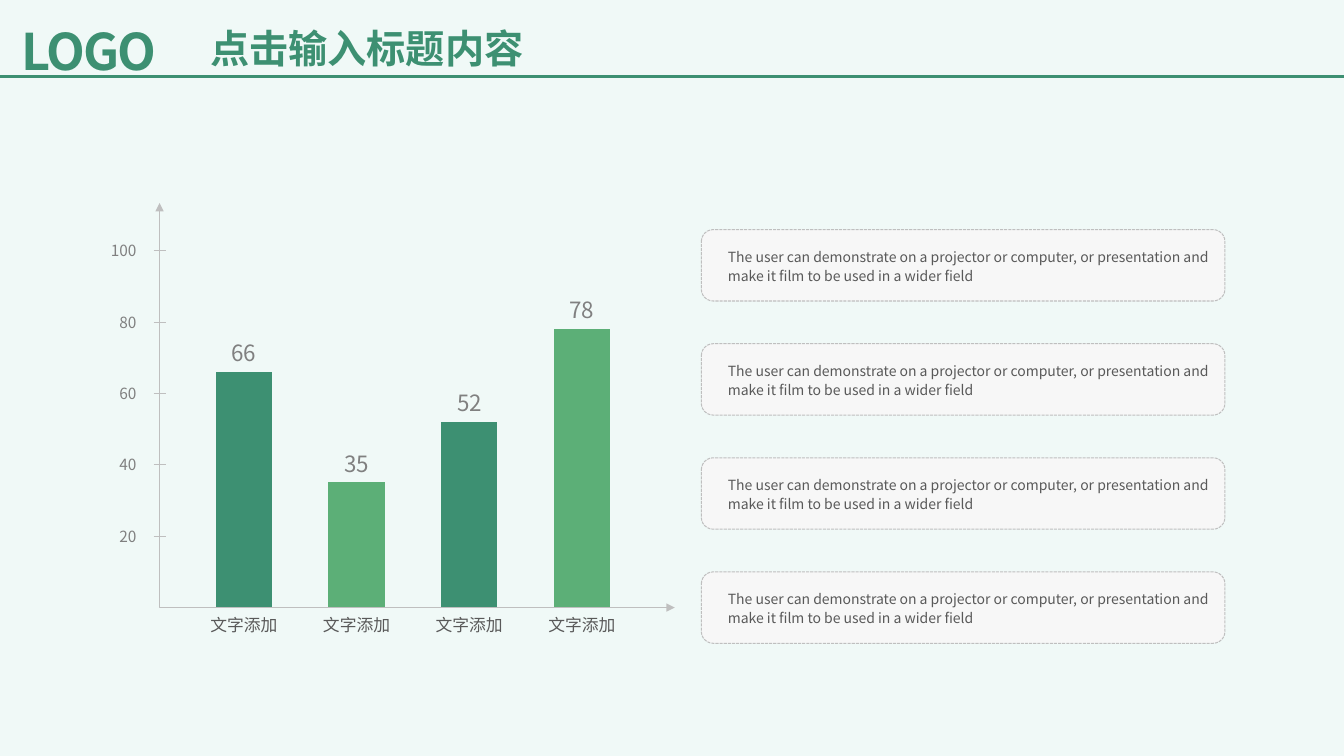
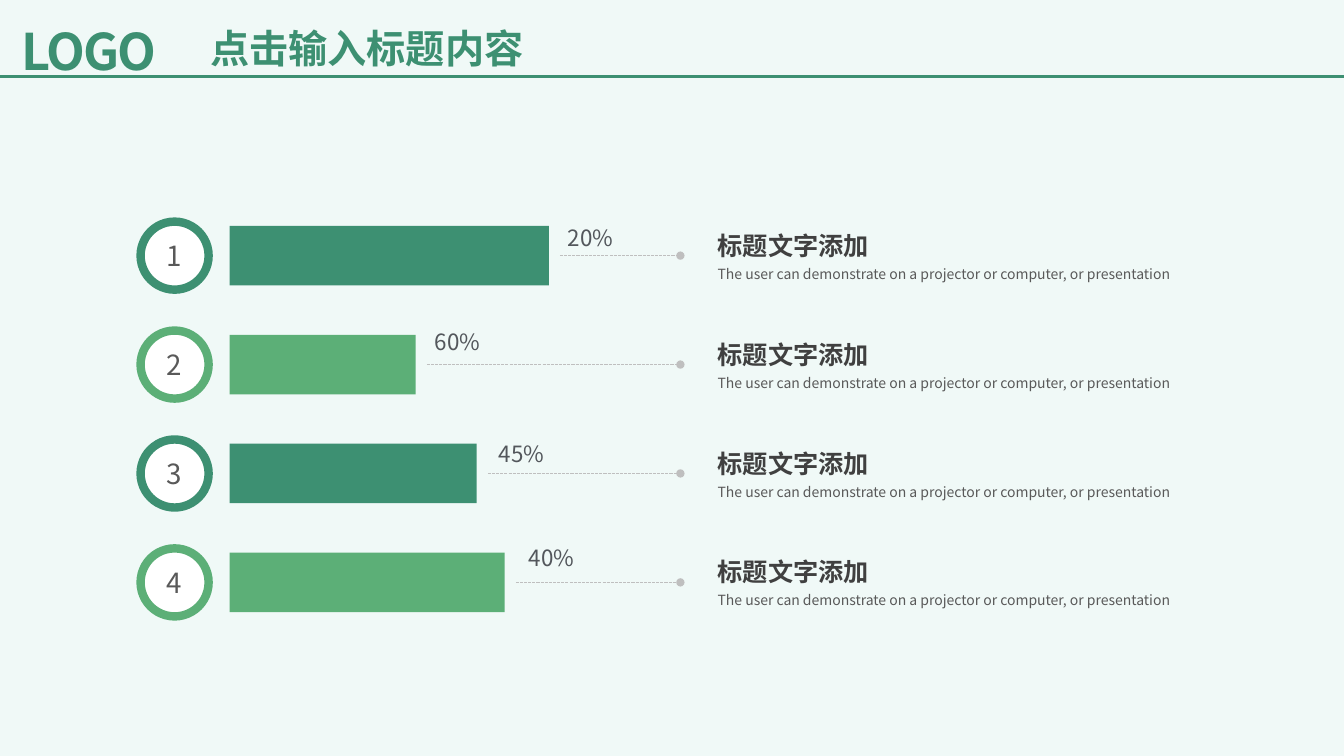
from lxml import etree
from pptx import Presentation
from pptx import util as u
from pptx.chart import data as chart_data
from pptx.dml import color as dml
from pptx.enum import chart as ch, dml as line_styles, shapes as sh, text as tx
from pptx.oxml import ns, parse_xml

Pt = u.Pt

# Shared look
WIDTH, HEIGHT = 960, 540
FONT = "Noto Sans CJK SC"
BACKGROUND, CARD, WHITE = "F0F9F7", "F7F7F7", "FFFFFF"
GREEN, LEAF = "3D9072", "5CAF77"
HEADING, BODY, PERCENT, MUTED, RULE = "404040", "595959", "53575C", "808080", "BFBFBF"
LEFT, CENTER, RIGHT = tx.PP_ALIGN.LEFT, tx.PP_ALIGN.CENTER, tx.PP_ALIGN.RIGHT
TITLE = "点击输入标题内容"

# Slide 1 content
COLUMNS = [("文字添加", 66), ("文字添加", 35), ("文字添加", 52), ("文字添加", 78)]
SCALE = [20, 40, 60, 80, 100]
SENTENCE = "The user can demonstrate on a projector or computer, or presentation"
CARDS = [SENTENCE + " and make it film to be used in a wider field"] * 4

# Slide 2 content: bar length, percentage, its offset from the bar's end, heading, detail
ROWS = [
    (228, "20%", (13.6, -13), "标题文字添加", SENTENCE),
    (133, "60%", (13.6, -16.6), "标题文字添加", SENTENCE),
    (176.5, "45%", (15.7, -14.3), "标题文字添加", SENTENCE),
    (196.5, "40%", (17.2, -17.7), "标题文字添加", SENTENCE),
]


def rgb(value):
    return dml.RGBColor.from_string(value)


def accent(index):
    return (GREEN, LEAF)[index % 2]


def set_all(target, values):
    for name, value in values.items():
        setattr(target, name, value)


def style_font(font, size, color, bold=False):
    set_all(font, {"size": Pt(size), "bold": bold, "name": FONT})
    font.color.rgb = rgb(color)
    etree.SubElement(font._element, ns.qn("a:ea")).set("typeface", FONT)


def style_line(line, color, width, dashed=False):
    line.color.rgb = rgb(color)
    line.width = Pt(width)
    if dashed:
        line.dash_style = line_styles.MSO_LINE.SQUARE_DOT


def add_ends(shape, **ends):
    """Put arrowheads on a line, as headEnd or tailEnd."""
    outline = shape.line._get_or_add_ln()
    for end in ("headEnd", "tailEnd"):
        if end in ends:
            etree.SubElement(outline, ns.qn("a:" + end)).set("type", ends[end])


def write(shape, text, size, color, bold=False, align=LEFT, spacing=None,
          margins=(0, 0)):
    frame = shape.text_frame
    set_all(frame, {
        "word_wrap": True, "vertical_anchor": tx.MSO_ANCHOR.MIDDLE,
        "margin_left": Pt(margins[0]), "margin_right": Pt(margins[1]),
        "margin_top": 0, "margin_bottom": 0,
    })
    paragraph = frame.paragraphs[0]
    paragraph.alignment = align
    if spacing:
        paragraph.line_spacing = spacing
    run = paragraph.add_run()
    run.text = text
    style_font(run.font, size, color, bold)
    return run


def add_text(slide, x, middle, w, h, text, size, color, **options):
    box = slide.shapes.add_textbox(Pt(x), Pt(middle - h / 2), Pt(w), Pt(h))
    return write(box, text, size, color, **options)


def add_block(slide, kind, x, y, w, h, fill):
    block = slide.shapes.add_shape(kind, Pt(x), Pt(y), Pt(w), Pt(h))
    block.shadow.inherit = False
    block.fill.solid()
    block.fill.fore_color.rgb = rgb(fill)
    block.line.fill.background()
    return block


def add_line(slide, x1, y1, x2, y2, color, width, dashed=False):
    line = slide.shapes.add_connector(
        sh.MSO_CONNECTOR.STRAIGHT, Pt(x1), Pt(y1), Pt(x2), Pt(y2))
    style_line(line.line, color, width, dashed)
    etree.SubElement(line._element.spPr, ns.qn("a:effectLst"))
    return line


def add_page(prs):
    slide = prs.slides.add_slide(prs.slide_layouts[6])
    logo = add_text(slide, 15.2, 36, 124, 53, "LOGO", 36, GREEN, bold=True)
    logo.font._element.set("spc", "-150")
    add_line(slide, 0, 54.5, WIDTH, 54.5, GREEN, 2)
    add_text(slide, 132, 34.2, 260, 41, TITLE, 28, GREEN, bold=True, align=CENTER)
    return slide


def add_columns(slide):
    plot_x, plot_y, plot_w, plot_h = 134, 179, 322, 255
    top, height = 145, 324
    base = plot_y + plot_h

    values = chart_data.CategoryChartData()
    values.categories = [name for name, _ in COLUMNS]
    values.add_series("数值", [value for _, value in COLUMNS])
    chart = slide.shapes.add_chart(
        ch.XL_CHART_TYPE.COLUMN_CLUSTERED, Pt(plot_x), Pt(top), Pt(plot_w),
        Pt(height), values).chart
    set_all(chart, {"has_title": False, "has_legend": False})
    style_font(chart.font, 12, BODY)

    # Fixed plot area, so the drawn scale lines up with the columns
    area = chart._chartSpace.chart.plotArea
    for old in area.findall(ns.qn("c:layout")):
        area.remove(old)
    places = {"x": 0, "y": (plot_y - top) / height, "w": 1, "h": plot_h / height}
    area.insert(0, parse_xml(
        f'<c:layout {ns.nsdecls("c")}><c:manualLayout>'
        '<c:layoutTarget val="inner"/><c:xMode val="edge"/><c:yMode val="edge"/>'
        + "".join(f'<c:{k} val="{v:.4f}"/>' for k, v in places.items())
        + "</c:manualLayout></c:layout>"))

    set_all(chart.value_axis, {
        "minimum_scale": 0, "maximum_scale": 100,
        "has_major_gridlines": False, "visible": False,
    })
    chart.category_axis.major_tick_mark = ch.XL_TICK_MARK.NONE
    chart.category_axis.format.line.fill.background()
    style_font(chart.category_axis.tick_labels.font, 12, BODY)

    plot = chart.plots[0]
    set_all(plot, {"gap_width": 100, "vary_by_categories": False,
                   "has_data_labels": True})
    set_all(plot.data_labels, {"show_value": True,
                               "position": ch.XL_LABEL_POSITION.OUTSIDE_END})
    style_font(plot.data_labels.font, 16, MUTED)
    for i in range(len(COLUMNS)):
        fill = plot.series[0].points[i].format.fill
        fill.solid()
        fill.fore_color.rgb = rgb(accent(i))

    # Scale and arrowed axes
    axis_x = 114
    for mark in SCALE:
        y = base - plot_h * mark / 100
        add_line(slide, axis_x - 4.3, y, axis_x + 4.3, y, RULE, 0.6)
        add_text(slide, axis_x - 56.5, y, 40, 16, str(mark), 11, MUTED, align=RIGHT)
    outline = slide.shapes.build_freeform(Pt(axis_x), Pt(top))
    outline.add_line_segments(
        [(Pt(axis_x), Pt(base)), (Pt(482), Pt(base))], close=False)
    axes = outline.convert_to_shape()
    axes.shadow.inherit = False
    axes.fill.background()
    style_line(axes.line, RULE, 0.6)
    add_ends(axes, headEnd="triangle", tailEnd="triangle")


def add_cards(slide):
    for i, sentence in enumerate(CARDS):
        card = add_block(slide, sh.MSO_SHAPE.ROUNDED_RECTANGLE,
                         501, 164 + 81.5 * i, 374, 51, CARD)
        style_line(card.line, RULE, 0.75, dashed=True)
        write(card, sentence, 10, BODY, spacing=1.14, margins=(16.5, 7.2))


def add_rows(slide):
    bar_x, bar_h, ring, leader_end, text_x = 164, 42.5, 48.6, 486, 512.6
    for i, (length, percent, (dx, dy), heading, detail) in enumerate(ROWS):
        middle, end = 182.6 + 77.8 * i, bar_x + length
        # Numbered ring and bar
        badge = add_block(slide, sh.MSO_SHAPE.OVAL, 124.7 - ring / 2,
                          middle - ring / 2, ring, ring, WHITE)
        style_line(badge.line, accent(i), 6)
        write(badge, str(i + 1), 19.8, BODY, align=CENTER)
        add_block(slide, sh.MSO_SHAPE.RECTANGLE, bar_x, middle - bar_h / 2,
                  length, bar_h, accent(i))
        # Percentage over its dotted leader
        leader = add_line(slide, end + 8, middle, leader_end, middle,
                          RULE, 0.75, dashed=True)
        add_ends(leader, tailEnd="oval")
        add_text(slide, end + dx, middle + dy, 50, 23, percent, 16, PERCENT)
        # Explanation
        add_text(slide, text_x, middle - 7.5, 154, 22, heading, 18, HEADING, bold=True)
        add_text(slide, text_x, middle + 12, 350, 17, detail, 10, BODY, spacing=1.14)


def main():
    prs = Presentation()
    set_all(prs, {"slide_width": Pt(WIDTH), "slide_height": Pt(HEIGHT)})
    backdrop = prs.slide_master.background.fill
    backdrop.solid()
    backdrop.fore_color.rgb = rgb(BACKGROUND)

    columns_page = add_page(prs)
    add_columns(columns_page)
    add_cards(columns_page)
    add_rows(add_page(prs))
    prs.save("out.pptx")


if __name__ == "__main__":
    main()
